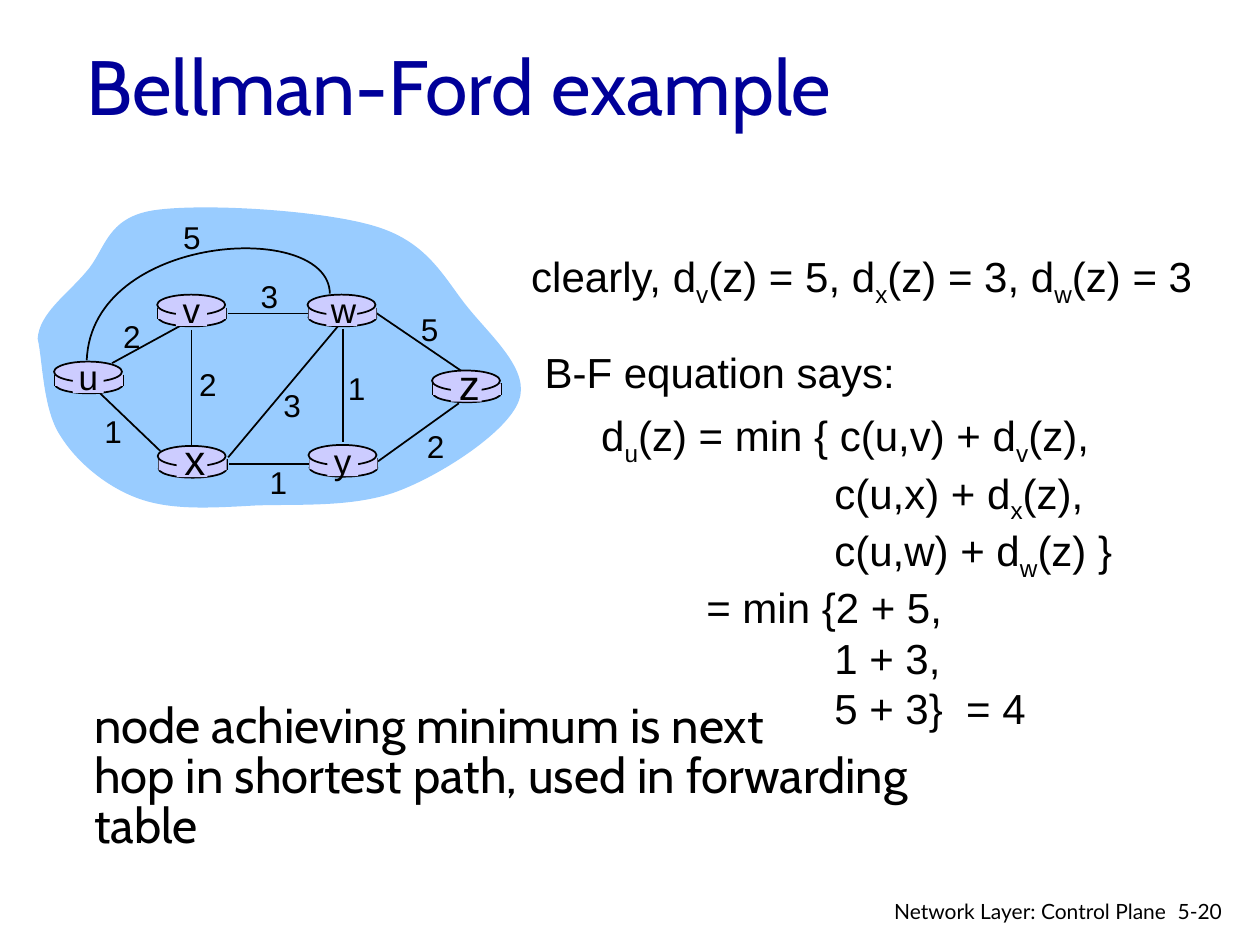
from lxml.etree import SubElement
from pptx import Presentation
from pptx.dml.color import RGBColor as Rgb
from pptx.enum.shapes import MSO_CONNECTOR as Link, MSO_SHAPE as Kind
from pptx.enum.text import MSO_ANCHOR as Anchor, PP_ALIGN as Align
from pptx.oxml.ns import qn
from pptx.util import Cm, Pt

HUES = {"title": "000099", "cloud": "99CCFF", "node": "CCCCFF", "ink": "000000"}

deck = Presentation()
deck.slide_width, deck.slide_height = Cm(25.4), Cm(19.05)
slide = deck.slides.add_slide(deck.slide_layouts[5])
shapes = slide.shapes


def paint(shape, fill=None, line=None):
    """Set fill and outline; None leaves either one off."""
    shape.shadow.inherit = False
    if fill:
        shape.fill.solid()
        shape.fill.fore_color.rgb = Rgb.from_string(HUES[fill])
    else:
        shape.fill.background()
    if line:
        shape.line.color.rgb = Rgb.from_string(HUES[line])
        shape.line.width = Pt(1)
    else:
        shape.line.fill.background()


def write(box, rows, size, font="Arial", align=Align.LEFT, wrap=False, gap=None, hue="ink"):
    """Fill a frame with (indent, text) rows; "_" lowers the next letter."""
    frame = box.text_frame
    frame.word_wrap = wrap
    for i, (indent, row) in enumerate(rows):
        para = frame.add_paragraph() if i else frame.paragraphs[0]
        para.alignment = align
        if gap:
            para.line_spacing = gap
        if indent:
            para._p.get_or_add_pPr().set("marL", str(Cm(indent)))
        head, *rest = row.split("_")
        parts = [(head, False)]
        for part in rest:
            parts += [(part[0], True), (part[1:], False)]
        for words, low in parts:
            run = para.add_run()
            run.text = words
            for key, val in {"name": font, "size": Pt(size), "bold": False}.items():
                setattr(run.font, key, val)
            run.font.color.rgb = Rgb.from_string(HUES[hue])
            if low:
                run._r.get_or_add_rPr().set("baseline", "-25000")


# Title
title = shapes.title
for key, val in {"left": 1.49, "top": 0.48, "width": 21.6, "height": 2.44}.items():
    setattr(title, key, Cm(val))
title.text_frame.vertical_anchor = Anchor.MIDDLE
write(title, [(0, "Bellman-Ford example")], 44, "Cabin", wrap=True, hue="title")

# Cloud and u-w arc: a start point, then cubic segments of three points
net = shapes.add_group_shape().shapes
cloud = [
    (0.76, 6.83),
    (0.79, 6.32), (1.35, 5.94), (1.73, 5.49),
    (2.13, 5.05), (2.13, 4.39), (3.1, 4.24),
    (4.09, 4.09), (6.55, 4.24), (7.59, 4.57),
    (8.66, 4.9), (8.97, 5.64), (9.45, 6.22),
    (9.93, 6.81), (10.69, 7.47), (10.46, 8.08),
    (10.24, 8.69), (8.97, 9.53), (8.08, 9.88),
    (7.19, 10.24), (6.02, 10.16), (5.16, 10.19),
    (4.27, 10.24), (3.48, 10.29), (2.82, 10.06),
    (2.16, 9.83), (1.55, 9.32), (1.22, 8.79),
    (0.86, 8.26), (0.86, 7.24), (0.76, 6.83),
]
arc = [(6.65, 5.92), (6.63, 4.42), (1.85, 4.7), (1.75, 7.26)]
for knots, fill, line in [(cloud, "cloud", None), (arc, None, "ink")]:
    start, *rest = [(Cm(x), Cm(y)) for x, y in knots]
    pen = net.build_freeform(*start)
    pen.add_line_segments(rest, close=bool(fill))
    shape = pen.convert_to_shape()
    paint(shape, fill, line)
    # Turn each three straight steps into one curve
    track = next(shape.element.iter(qn("a:path")))
    steps = track.findall(qn("a:lnTo"))
    for i in range(0, len(steps), 3):
        curve = SubElement(track, qn("a:cubicBezTo"))
        steps[i].addprevious(curve)
        for step in steps[i:i + 3]:
            curve.append(step[0])
            track.remove(step)

# Edges between routers
edges = [
    (2.26, 7.32, 3.76, 6.5),    # u-v
    (6.91, 6.63, 6.91, 8.92),   # w-y
    (3.86, 6.65, 3.86, 9.02),   # v-x
    (4.6, 9.22, 6.81, 6.58),    # x-w
    (7.62, 9.3, 9.25, 8.13),    # y-z
    (6.22, 9.36, 4.62, 9.36),   # y-x
    (3.23, 9.09, 2.01, 7.92),   # x-u
    (6.2, 6.32, 4.6, 6.32),     # w-v
    (9.32, 7.49, 7.57, 6.3),    # z-w
]
for ends in edges:
    net.add_connector(Link.STRAIGHT, *map(Cm, ends))

# Routers: base, sides, body, lid, then a patch under the letter
routers = [
    ("u", 1.09, 7.29, 20), ("x", 3.18, 8.99, 24), ("v", 3.17, 5.94, 20),
    ("w", 6.2, 5.94, 20), ("y", 6.22, 8.97, 20), ("z", 8.71, 7.47, 24),
]
layers = [
    (Kind.OVAL, 0.02, 0.28, 1.37, 0.36, "ink"),
    (Kind.RECTANGLE, 0.02, 0.26, 1.37, 0.23, None),
    (Kind.OVAL, 0, 0, 1.37, 0.41, "ink"),
    (Kind.RECTANGLE, 0.38, 0.05, 0.62, 0.58, None),
]
body = layers[1]
for name, x, y, size in routers:
    for layer in layers:
        kind, dx, dy, w, h, line = layer
        if layer == body:
            for side in (x + dx, x + dx + w):
                net.add_connector(Link.STRAIGHT, Cm(side), Cm(y + dy), Cm(side), Cm(y + dy + h))
        part = net.add_shape(kind, Cm(x + dx), Cm(y + dy), Cm(w), Cm(h))
        paint(part, "node", line)
    shift, rise, tall = (0.22, 0.24, 1.09) if size == 20 else (0.28, 0.37, 1.27)
    box = net.add_textbox(Cm(x + shift), Cm(y - rise), Cm(0.94), Cm(tall))
    write(box, [(0, name)], size, align=Align.CENTER)

# One look for every connector
for shape in net:
    if shape.element.tag == qn("p:cxnSp"):
        shape.line.color.rgb = Rgb.from_string(HUES["ink"])
        shape.line.width = Pt(1)
        SubElement(shape.element.spPr, qn("a:effectLst"))

# Edge costs
costs = [
    ("2", 2.23, 6.27), ("2", 3.76, 7.24), ("1", 1.85, 8.18), ("3", 5.46, 7.65),
    ("1", 5.18, 9.21), ("1", 6.76, 7.32), ("2", 8.35, 8.48), ("5", 8.23, 6.12),
    ("3", 5, 5.46), ("5", 3.44, 4.27),
]
for cost, x, y in costs:
    box = net.add_textbox(Cm(x), Cm(y), Cm(0.86), Cm(1.02))
    write(box, [(0, cost)], 18, align=Align.CENTER)

# Equations, conclusion and footer
sums = [
    (0, "d_u(z) = min { c(u,v) + d_v(z),"),
    (4.7, "c(u,x) + d_x(z),"),
    (4.7, "c(u,w) + d_w(z) }"),
    (2.12, "= min {2 + 5,"),
    (4.7, "1 + 3,"),
    (4.7, "5 + 3}  = 4"),
]
close = [(0, "node achieving minimum is next"),
         (0, "hop in shortest path, used in forwarding table")]
foot = {"size": 12, "font": "Lato", "wrap": True}
notes = [
    ((10.46, 4.93, 14.02, 1.27), [(0, "clearly, d_v(z) = 5, d_x(z) = 3, d_w(z) = 3")], {"size": 24}),
    ((11.87, 8.14, 10.85, 6.35), sums, {"size": 24}),
    ((1.65, 14.06, 18.8, 2.29), close, {"size": 28, "font": "Cabin", "wrap": True, "gap": 0.85}),
    ((10.73, 6.86, 7.57, 1.27), [(0, "B-F equation says:")], {"size": 24}),
    ((23.49, 17.98, 1.52, 0.76), [(0, "5-20")], foot),
    ((17.71, 17.98, 6.05, 0.66), [(0, "Network Layer: Control Plane")], {**foot, "align": Align.RIGHT}),
]
for place, rows, look in notes:
    write(shapes.add_textbox(*map(Cm, place)), rows, **look)

deck.save("out.pptx")
